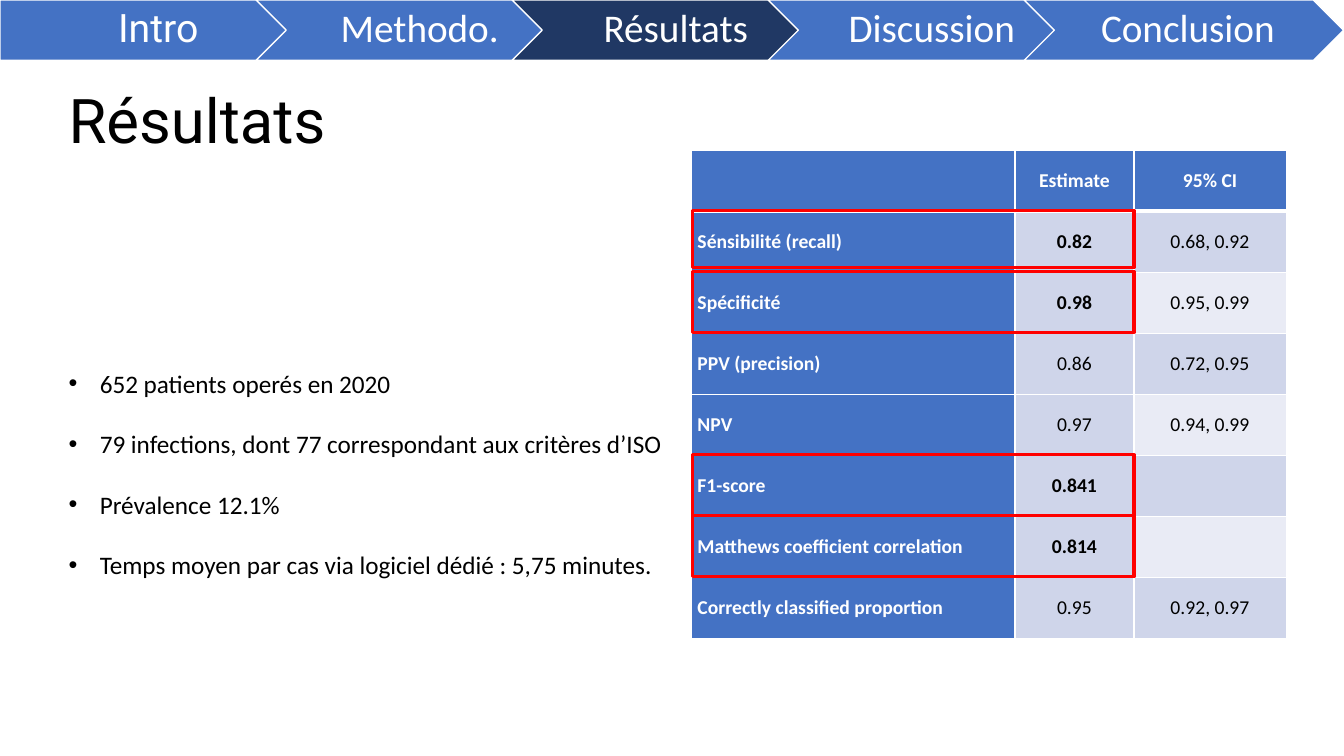
import pptx
import pptx.util
import pptx.dml.color
import pptx.enum.shapes
import pptx.enum.text
import pptx.oxml
import pptx.oxml.ns
import lxml.etree

Pt = pptx.util.Pt
RGBColor = pptx.dml.color.RGBColor
Shape = pptx.enum.shapes.MSO_SHAPE
Align = pptx.enum.text.PP_ALIGN
Anchor = pptx.enum.text.MSO_ANCHOR
qn = pptx.oxml.ns.qn

BLUE = RGBColor(0x44, 0x72, 0xC4)
NAVY = RGBColor(0x20, 0x38, 0x64)
BAND_DARK = RGBColor(0xCF, 0xD5, 0xEA)
BAND_LIGHT = RGBColor(0xE9, 0xEB, 0xF5)
WHITE = RGBColor(255, 255, 255)
BLACK = RGBColor(0, 0, 0)
RED = RGBColor(255, 0, 0)

TITLE = "Résultats"
STEPS = ["Intro", "Methodo.", "Résultats", "Discussion", "Conclusion"]
BULLETS = [
    "652 patients operés en 2020",
    "79 infections, dont 77 correspondant aux critères d’ISO",
    "Prévalence 12.1%",
    "Temps moyen par cas via logiciel dédié : 5,75 minutes.",
]
METRICS = [
    ("", "Estimate", "95% CI"),
    ("Sénsibilité (recall)", "0.82", "0.68, 0.92"),
    ("Spécificité", "0.98", "0.95, 0.99"),
    ("PPV (precision)", "0.86", "0.72, 0.95"),
    ("NPV", "0.97", "0.94, 0.99"),
    ("F1-score", "0.841", ""),
    ("Matthews coefficient correlation", "0.814", ""),
    ("Correctly classified proportion", "0.95", "0.92, 0.97"),
]
HIGHLIGHT_HEIGHTS = {1: 41, 2: 43.65, 5: 43.65, 6: 43.65}

STEP_WIDTH, STEP_HEIGHT, STEP_PITCH = 228.24, 43.2, 182.88
TABLE_LEFT, TABLE_TOP, ROW_HEIGHT = 493.92, 107.28, 43.65
COLUMN_WIDTHS = [231.1, 85, 108.7]


def write(frame, lines, size=18, font="Calibri", color=BLACK, bold=False,
          align=Align.LEFT, spacing=1.0, bullet=None, indent=22.32):
    for index, line in enumerate(lines):
        para = frame.paragraphs[0] if index == 0 else frame.add_paragraph()
        para.alignment = align
        para.line_spacing = spacing
        para.space_before = Pt(0)
        if bullet:
            properties = para._p.get_or_add_pPr()
            properties.set("marL", str(Pt(indent)))
            properties.set("indent", str(-Pt(indent)))
            lxml.etree.SubElement(properties, qn("a:buFont")).set("typeface", "Arial")
            lxml.etree.SubElement(properties, qn("a:buChar")).set("char", bullet)
        span = para.add_run()
        span.text = line
        span.font.size = Pt(size)
        span.font.name = font
        span.font.bold = bold
        span.font.color.rgb = color


def place(box, left, top, width, height):
    box.left, box.top, box.width, box.height = map(Pt, (left, top, width, height))


def border(cell, color, widths):
    properties = cell._tc.get_or_add_tcPr()
    for side, width in widths.items():
        line = lxml.etree.SubElement(properties, qn("a:ln" + side), w=str(Pt(width)))
        solid = lxml.etree.SubElement(line, qn("a:solidFill"))
        lxml.etree.SubElement(solid, qn("a:srgbClr"), val=str(color))


deck = pptx.Presentation()
deck.slide_width, deck.slide_height = Pt(960), Pt(540)
page = deck.slides.add_slide(deck.slide_layouts[1])

title = page.shapes.title
place(title, 41.76, 43.2, 851.76, 90)
title.text_frame.vertical_anchor = Anchor.MIDDLE
write(title.text_frame, [TITLE], size=44, font="Roboto", spacing=0.9)

for index, step in enumerate(STEPS):
    first = index == 0
    box = page.shapes.add_shape(
        Shape.PENTAGON if first else Shape.CHEVRON,
        Pt(index * STEP_PITCH), Pt(0), Pt(STEP_WIDTH), Pt(STEP_HEIGHT))
    box.shadow.inherit = False
    box.fill.solid()
    box.fill.fore_color.rgb = NAVY if step == TITLE else BLUE
    box.line.color.rgb = WHITE
    box.line.width = Pt(1)
    frame = box.text_frame
    frame.word_wrap = True
    frame.vertical_anchor = Anchor.MIDDLE
    frame.margin_left = Pt(11.52 if first else 8.64)
    frame.margin_right = Pt(2.88)
    frame.margin_top = frame.margin_bottom = Pt(5.76)
    write(frame, [step], size=28, font="Roboto" if first else "Calibri",
          color=WHITE, align=Align.CENTER, spacing=0.9)

body = page.placeholders[1]
place(body, 41.76, 237.6, 851.76, 219.6)
body.text_frame.auto_size = pptx.enum.text.MSO_AUTO_SIZE.SHAPE_TO_FIT_TEXT
write(body.text_frame, BULLETS, spacing=2.0, bullet="•")

table = page.shapes.add_table(
    len(METRICS), len(COLUMN_WIDTHS), Pt(TABLE_LEFT), Pt(TABLE_TOP),
    Pt(sum(COLUMN_WIDTHS)), Pt(ROW_HEIGHT * len(METRICS))).table
for column, width in zip(table.columns, COLUMN_WIDTHS):
    column.width = Pt(width)
for row, values in enumerate(METRICS):
    table.rows[row].height = Pt(ROW_HEIGHT)
    for column, value in enumerate(values):
        cell = table.cell(row, column)
        heading = row == 0 or column == 0
        border(cell, WHITE, {"L": 1, "R": 1, "T": 3 if row == 1 else 1,
                             "B": 3 if row == 0 else 1})
        cell.fill.solid()
        band = BAND_DARK if column == 1 or row % 2 else BAND_LIGHT
        cell.fill.fore_color.rgb = BLUE if heading else band
        cell.vertical_anchor = Anchor.MIDDLE
        cell.margin_left = cell.margin_right = Pt(4.32)
        cell.margin_top = cell.margin_bottom = Pt(0)
        if value:
            write(cell.text_frame, [value], size=14,
                  color=WHITE if heading else BLACK,
                  bold=heading or (column == 1 and row in HIGHLIGHT_HEIGHTS),
                  align=Align.CENTER if column or row == 0 else Align.LEFT)

for row, height in HIGHLIGHT_HEIGHTS.items():
    highlight = page.shapes.add_shape(
        Shape.RECTANGLE, Pt(TABLE_LEFT + 0.7), Pt(TABLE_TOP + row * ROW_HEIGHT - 0.7),
        Pt(sum(COLUMN_WIDTHS[:2]) - 0.7), Pt(height))
    highlight.shadow.inherit = False
    highlight.fill.background()
    highlight.line.color.rgb = RED
    highlight.line.width = Pt(2.25)

deck.save("out.pptx")
